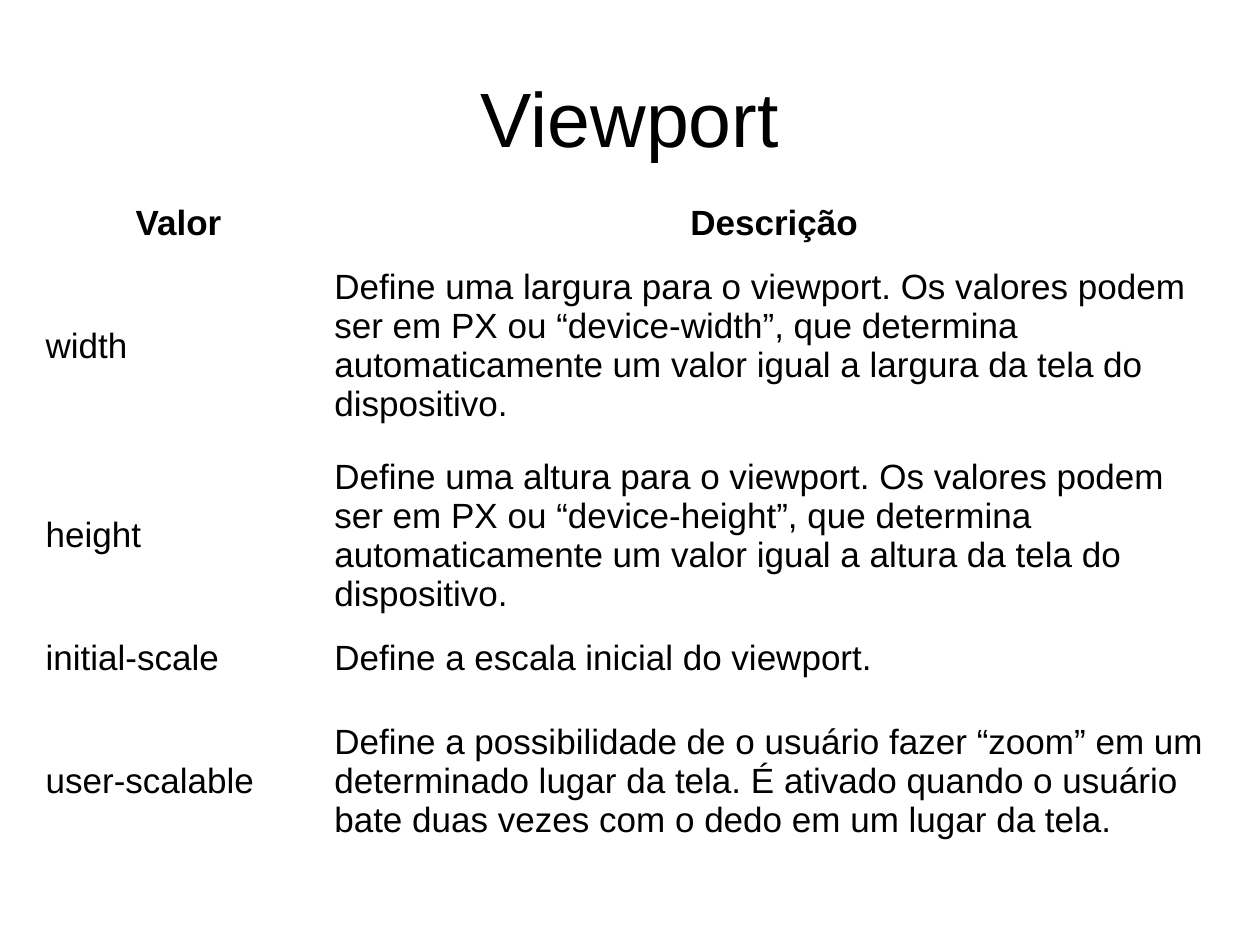
import pptx
import pptx.util
import pptx.dml.color
import pptx.enum.text

Cm, Pt = pptx.util.Cm, pptx.util.Pt
RGB = pptx.dml.color.RGBColor
ALIGN = pptx.enum.text.PP_ALIGN
MIDDLE = pptx.enum.text.MSO_ANCHOR.MIDDLE

TITLE = "Viewport"
ROWS = [
    ("Valor", "Descrição"),
    ("width", "Define uma largura para o viewport. Os valores podem ser em PX "
     "ou “device-width”, que determina automaticamente um valor igual a "
     "largura da tela do dispositivo."),
    ("height", "Define uma altura para o viewport. Os valores podem ser em PX "
     "ou “device-height”, que determina automaticamente um valor igual a "
     "altura da tela do dispositivo."),
    ("initial-scale", "Define a escala inicial do viewport."),
    ("user-scalable", "Define a possibilidade de o usuário fazer “zoom” em um "
     "determinado lugar da tela. É ativado quando o usuário bate duas vezes "
     "com o dedo em um lugar da tela."),
]
WIDTHS = (5.82, 18.19)
SHORT, TALL = 1.13, 3.82
HEIGHTS = (SHORT, TALL, TALL, SHORT, TALL)

THEME = {
    "ink": RGB(0, 0, 0),
    "paper": RGB(255, 255, 255),
    "font": "Arial",
    "title": Pt(44),
    "body": Pt(20),
}


def style(item, values):
    for name, value in values.items():
        setattr(item, name, value)


def write(frame, text, size, bold, align):
    frame.text = text
    line = frame.paragraphs[0]
    line.alignment = align
    font = line.runs[0].font
    style(font, {"name": THEME["font"], "size": size, "bold": bold})
    font.color.rgb = THEME["ink"]


def add_title(slide):
    title = slide.shapes.title
    style(title, {"left": Cm(1.27), "top": Cm(0.76),
                  "width": Cm(22.86), "height": Cm(3.18)})
    title.text_frame.vertical_anchor = MIDDLE
    write(title.text_frame, TITLE, THEME["title"], False, ALIGN.CENTER)


def add_grid(slide):
    grid = slide.shapes.add_table(
        len(ROWS), len(WIDTHS), Cm(0.69), Cm(3.94),
        Cm(sum(WIDTHS)), Cm(sum(HEIGHTS))).table
    style(grid, {"first_row": False, "horz_banding": False})
    for col, width in zip(grid.columns, WIDTHS):
        col.width = Cm(width)
    for r, (row, height) in enumerate(zip(ROWS, HEIGHTS)):
        grid.rows[r].height = Cm(height)
        head = r == 0
        align = ALIGN.CENTER if head else ALIGN.LEFT
        for c, text in enumerate(row):
            cell = grid.cell(r, c)
            style(cell, {"vertical_anchor": MIDDLE,
                         "margin_left": Cm(0.23), "margin_right": Cm(0.23),
                         "margin_top": Cm(0.13), "margin_bottom": Cm(0.13)})
            cell.fill.solid()
            cell.fill.fore_color.rgb = THEME["paper"]
            write(cell.text_frame, text, THEME["body"], head, align)


def main():
    deck = pptx.Presentation()
    style(deck, {"slide_width": Cm(25.4), "slide_height": Cm(19.05)})
    slide = deck.slides.add_slide(deck.slide_layouts[5])
    add_title(slide)
    add_grid(slide)
    deck.save("out.pptx")


if __name__ == "__main__":
    main()
